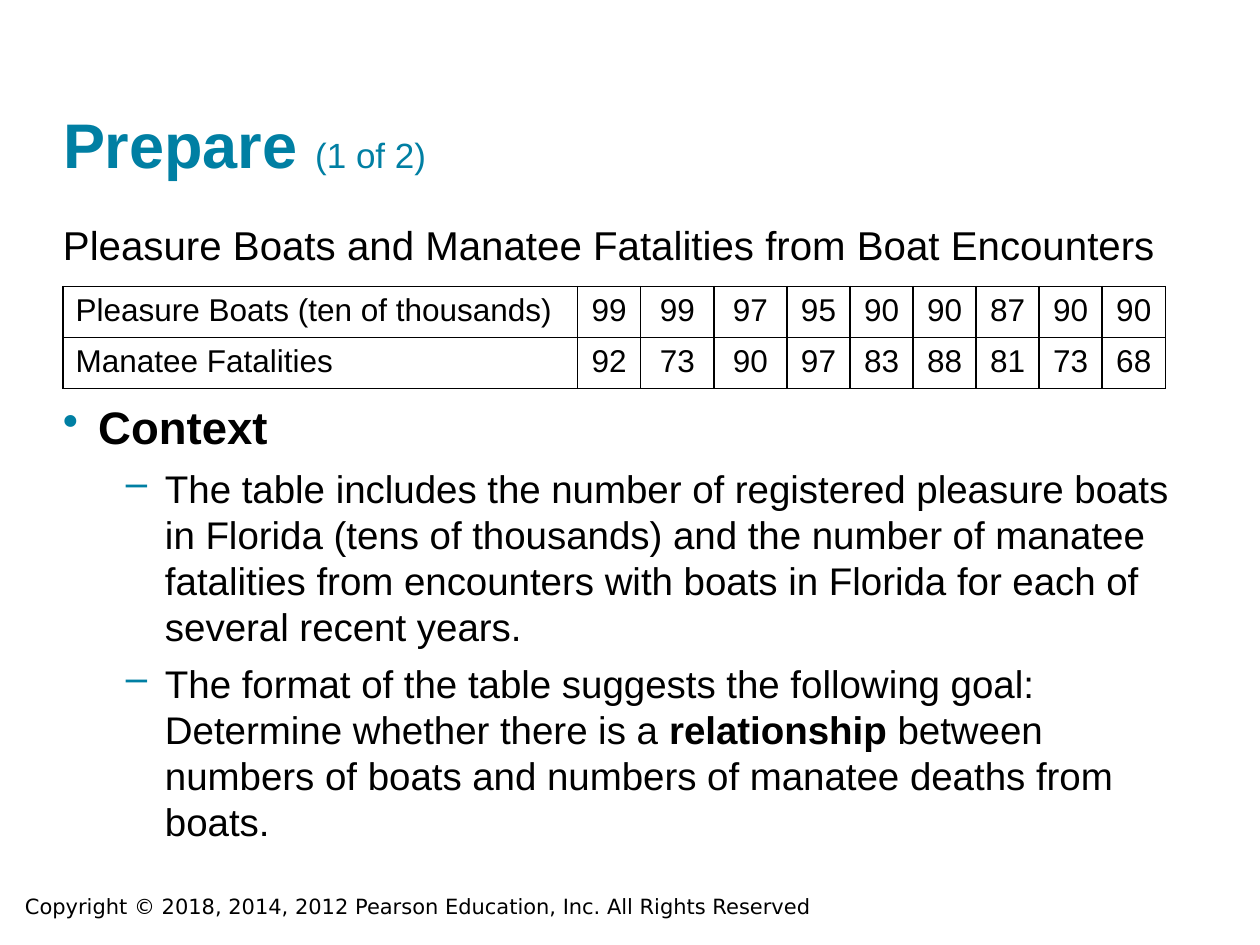
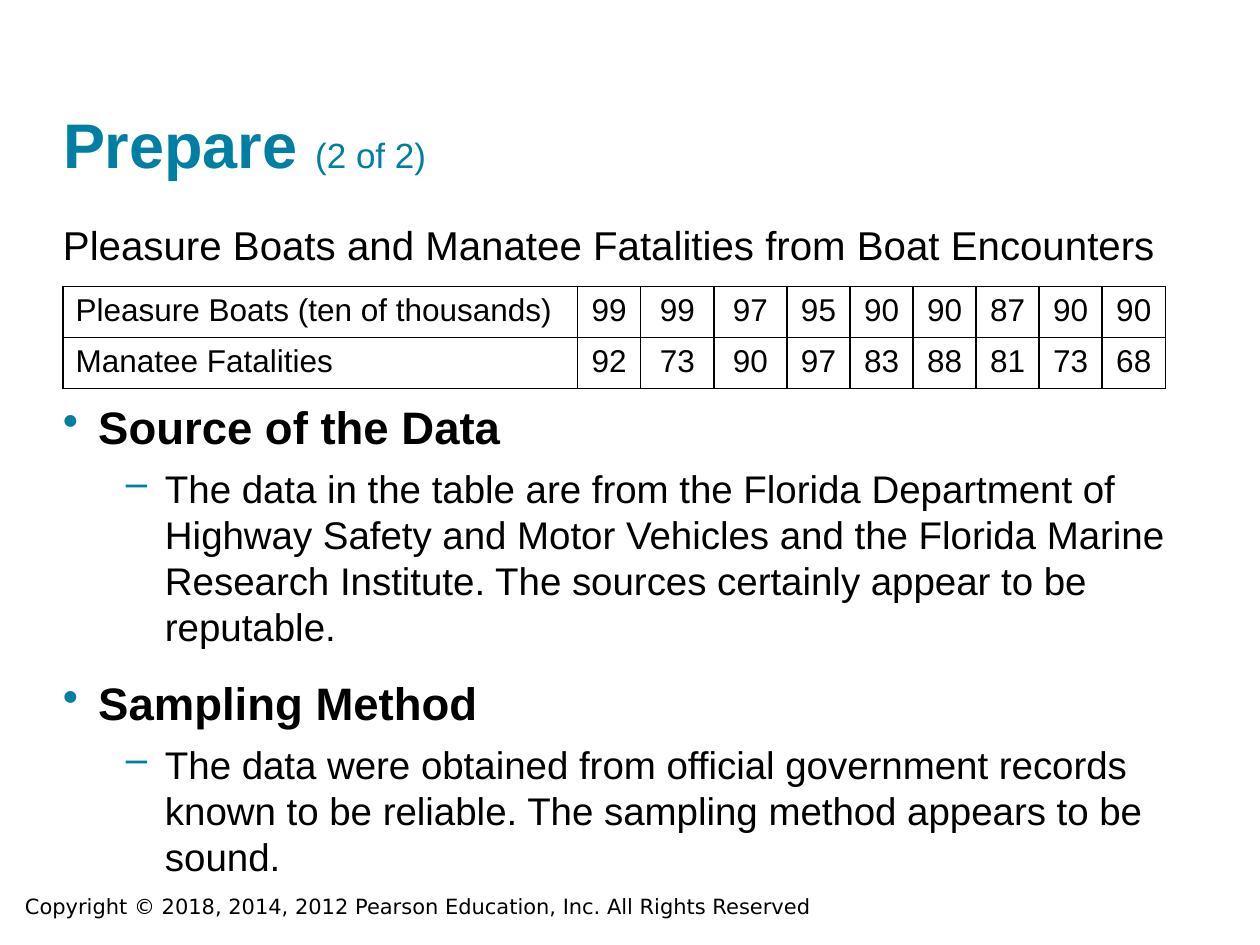
from lxml.etree import SubElement
from pptx import Presentation
from pptx.dml.color import RGBColor
from pptx.enum.text import MSO_ANCHOR, MSO_AUTO_SIZE, PP_ALIGN
from pptx.oxml.ns import qn
from pptx.util import Inches, Pt

TEAL = RGBColor(0x00, 0x7F, 0xA3)
BLACK = RGBColor(0, 0, 0)
TOP, BOTTOM = MSO_ANCHOR.TOP, MSO_ANCHOR.BOTTOM
LEFT, CENTER = PP_ALIGN.LEFT, PP_ALIGN.CENTER
FIXED = MSO_AUTO_SIZE.NONE
WIDE, HIGH = Inches(10), Inches(7.5)

TITLE = dict(name="Arial", size=Pt(36), bold=True, color=TEAL)
COUNT = dict(TITLE, size=Pt(20), bold=False)
LEAD = dict(name="Arial", size=Pt(23), color=BLACK)
CELL = dict(LEAD, size=Pt(18))
HEAD = dict(LEAD, size=Pt(26), bold=True)
POINT = dict(LEAD, size=Pt(22), bold=False)
STRONG = dict(POINT, bold=True)
FOOT = dict(name="DejaVu Sans", size=Pt(12), color=BLACK)

LEVELS = [
    dict(mark="•", left=0.28, hang=0.28, before=15, font=HEAD),
    dict(mark="–", left=0.81, hang=0.31, before=6, font=POINT),
]

CAPTION = "Pleasure Boats and Manatee Fatalities from Boat Encounters"
COPYRIGHT = "Copyright © 2018, 2014, 2012 Pearson Education, Inc. All Rights Reserved"
SHARES = [4.08, 0.5, 0.58, 0.58] + [0.5] * 6
ROWS = [
    ("Pleasure Boats (ten of thousands)", 99, 99, 97, 95, 90, 90, 87, 90, 90),
    ("Manatee Fatalities", 92, 73, 90, 97, 83, 88, 81, 73, 68),
]

PAGES = [
    dict(width=90, points=[
        (0, ["Context"]),
        (1, ["The table includes the number of registered pleasure boats in "
             "Florida (tens of thousands) and the number of manatee fatalities "
             "from encounters with boats in Florida for each of several recent "
             "years."]),
        (1, ["The format of the table suggests the following goal: Determine "
             "whether there is a ", "relationship ",
             "between numbers of boats and numbers of manatee deaths from "
             "boats."]),
    ]),
    dict(width=93.3, points=[
        (0, ["Source of the Data"]),
        (1, ["The data in the table are from the Florida Department of Highway "
             "Safety and Motor Vehicles and the Florida Marine Research "
             "Institute. The sources certainly appear to be reputable."]),
        (0, ["Sampling Method"]),
        (1, ["The data were obtained from official government records known to "
             "be reliable. The sampling method appears to be sound."]),
    ]),
]


def place(left, top, width, height):
    return [int(side * part / 100) for side, part in
            zip((WIDE, HIGH, WIDE, HIGH), (left, top, width, height))]


def style(font, form):
    for key, value in form.items():
        if key == "color":
            font.color.rgb = value
        else:
            setattr(font, key, value)


def write(para, text, form):
    run = para.add_run()
    run.text = text
    style(run.font, form)


def setup(frame, anchor=TOP):
    form = dict(word_wrap=True, auto_size=FIXED, vertical_anchor=anchor,
                margin_left=0, margin_top=0, margin_right=0, margin_bottom=0)
    for key, value in form.items():
        setattr(frame, key, value)
    return frame


def add_title(slide, box, count):
    shape = slide.shapes.title
    for key, value in zip(("left", "top", "width", "height"), box):
        setattr(shape, key, value)
    para = setup(shape.text_frame, BOTTOM).paragraphs[0]
    para.alignment = LEFT
    write(para, "Prepare ", TITLE)
    write(para, count, COUNT)


def add_lead(slide, box):
    para = setup(slide.shapes.add_textbox(*box).text_frame).paragraphs[0]
    write(para, CAPTION, LEAD)


def border(cell):
    props = cell._tc.get_or_add_tcPr()
    for side in ("lnL", "lnR", "lnT", "lnB"):
        line = SubElement(props, qn(f"a:{side}"), w=str(Pt(1)))
        fill = SubElement(line, qn("a:solidFill"))
        SubElement(fill, qn("a:srgbClr"), val=str(BLACK))


def add_counts(slide, box):
    table = slide.shapes.add_table(len(ROWS), len(SHARES), *box).table
    table.first_row = table.horz_banding = False
    for col, share in zip(table.columns, SHARES):
        col.width = int(box[2] * share / sum(SHARES))
    for r, row in enumerate(ROWS):
        table.rows[r].height = box[3] // len(ROWS)
        for c, value in enumerate(row):
            cell = table.cell(r, c)
            border(cell)
            cell.fill.background()
            para = cell.text_frame.paragraphs[0]
            para.alignment = CENTER if c else LEFT
            write(para, str(value), CELL)


def bullet(para, level):
    props = para._p.get_or_add_pPr()
    props.set("marL", str(Inches(level["left"])))
    props.set("indent", str(-Inches(level["hang"])))
    tint = SubElement(props, qn("a:buClr"))
    SubElement(tint, qn("a:srgbClr"), val=str(TEAL))
    SubElement(props, qn("a:buChar"), char=level["mark"])


def add_points(slide, box, points):
    frame = setup(slide.shapes.add_textbox(*box).text_frame)
    for i, (depth, parts) in enumerate(points):
        para = frame.add_paragraph() if i else frame.paragraphs[0]
        level = LEVELS[depth]
        para.level = depth
        bullet(para, level)
        para.space_before = Pt(level["before"] if i else 0)
        for n, text in enumerate(parts):
            write(para, text, STRONG if n % 2 else level["font"])


def add_foot(slide, box):
    frame = slide.shapes.add_textbox(*box).text_frame
    frame.word_wrap = True
    write(frame.paragraphs[0], COPYRIGHT, FOOT)


def add_page(deck, number, page):
    slide = deck.slides.add_slide(deck.slide_layouts[5])
    add_foot(slide, place(1, 93.87, 78.3, 4))
    add_title(slide, place(5, 3.2, 90, 16), f"({number} of {len(PAGES)})")
    add_lead(slide, place(5, 23.33, 90, 5.6))
    add_counts(slide, place(5, 30.33, 87.5, 10.8))
    add_points(slide, place(5, 42.27, page["width"], 50), page["points"])


def main():
    deck = Presentation()
    deck.slide_width, deck.slide_height = WIDE, HIGH
    for number, page in enumerate(PAGES, 1):
        add_page(deck, number, page)
    deck.save("out.pptx")


if __name__ == "__main__":
    main()
